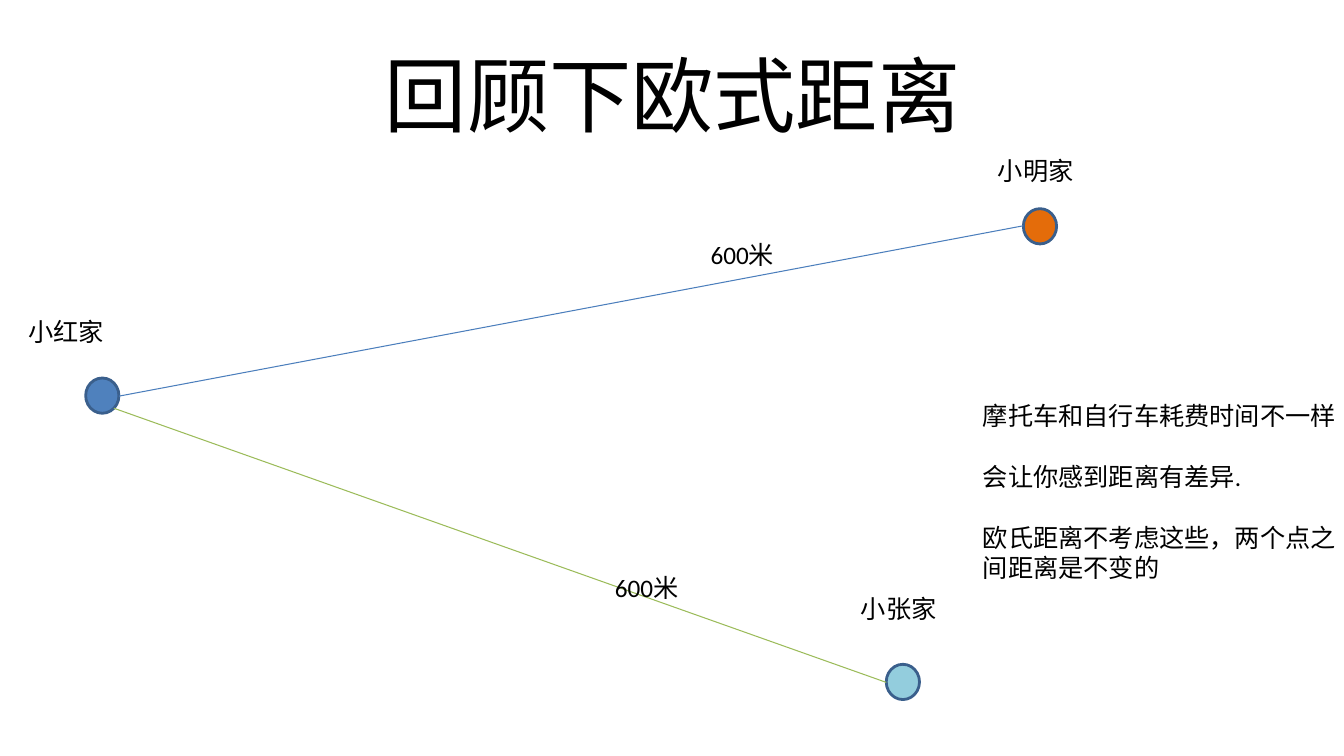
from lxml import etree
from pptx import Presentation
from pptx.dml.color import RGBColor
from pptx.enum.shapes import MSO_CONNECTOR as CONN, MSO_SHAPE as SHAPE
from pptx.enum.text import MSO_ANCHOR as ANCHOR, PP_ALIGN as ALIGN
from pptx.oxml.ns import qn
from pptx.util import Inches, Pt

BLACK = RGBColor(0x00, 0x00, 0x00)
BLUE = RGBColor(0x4F, 0x81, 0xBD)
ORANGE = RGBColor(0xE4, 0x6C, 0x0A)
AQUA = RGBColor(0x93, 0xCD, 0xDD)
OUTLINE = RGBColor(0x3A, 0x5F, 0x8C)
ROUTE_BLUE = RGBColor(0x4B, 0x7E, 0xBC)
ROUTE_GREEN = RGBColor(0x9B, 0xBB, 0x59)

# Content: positions in inches
TITLE = "回顾下欧式距离"
HOMES = [  # name, dot left and top, label left and top, fill
    ("小红家", (0.85, 3.75), (0.18, 3.09), BLUE),
    ("小明家", (10.15, 2.07), (9.8, 1.49), ORANGE),
    ("小张家", (8.79, 6.59), (8.44, 5.84), AQUA),
]
ROUTES = [  # distance, start, end, label left and top, colour
    ("600米", (1.18, 3.93), (10.15, 2.24), (6.95, 2.32), ROUTE_BLUE),
    ("600米", (1.13, 4.05), (8.79, 6.77), (6, 5.63), ROUTE_GREEN),
]
NOTES = [
    "摩托车和自行车耗费时间不一样",
    "会让你感到距离有差异.",
    "欧氏距离不考虑这些，两个点之间距离是不变的",
]
DOT_SIZE = (0.33, 0.35)
LABEL_SIZE = (1.36, 0.41)

prs = Presentation()
prs.slide_width, prs.slide_height = Inches(13.33), Inches(7.5)
s = prs.slides.add_slide(prs.slide_layouts[6])


def inches(*values):
    return [Inches(v) for v in values]


def add_text(lines, pos, size, points=18, align=ALIGN.LEFT, anchor=ANCHOR.TOP):
    tf = s.shapes.add_textbox(*inches(*pos, *size)).text_frame
    tf.word_wrap = True
    tf.vertical_anchor = anchor
    for i, line in enumerate(lines):
        p = tf.add_paragraph() if i else tf.paragraphs[0]
        p.text = line
        p.alignment = align
        p.space_before = Pt(22 if i else 0)
        p.font.name = "Calibri"
        p.font.size = Pt(points)
        p.font.color.rgb = BLACK


# Title
add_text([TITLE], (0.67, 0.3), (12, 1.25), 58.7, ALIGN.CENTER, ANCHOR.MIDDLE)

# Homes
for name, dot_pos, label_pos, fill in HOMES:
    dot = s.shapes.add_shape(SHAPE.OVAL, *inches(*dot_pos, *DOT_SIZE))
    dot.shadow.inherit = False
    dot.fill.solid()
    dot.fill.fore_color.rgb = fill
    dot.line.color.rgb = OUTLINE
    dot.line.width = Pt(2)
    add_text([name], label_pos, LABEL_SIZE)

# Straight routes with their distances
for distance, start, end, label_pos, color in ROUTES:
    route = s.shapes.add_connector(CONN.STRAIGHT, *inches(*start, *end))
    route.line.color.rgb = color
    route.line.width = Pt(0.75)
    etree.SubElement(route._element.spPr, qn("a:effectLst"))
    add_text([distance], label_pos, LABEL_SIZE)

# Notes on travel time and distance
add_text(NOTES, (9.65, 3.92), (3.92, 1.92))

prs.save("out.pptx")
